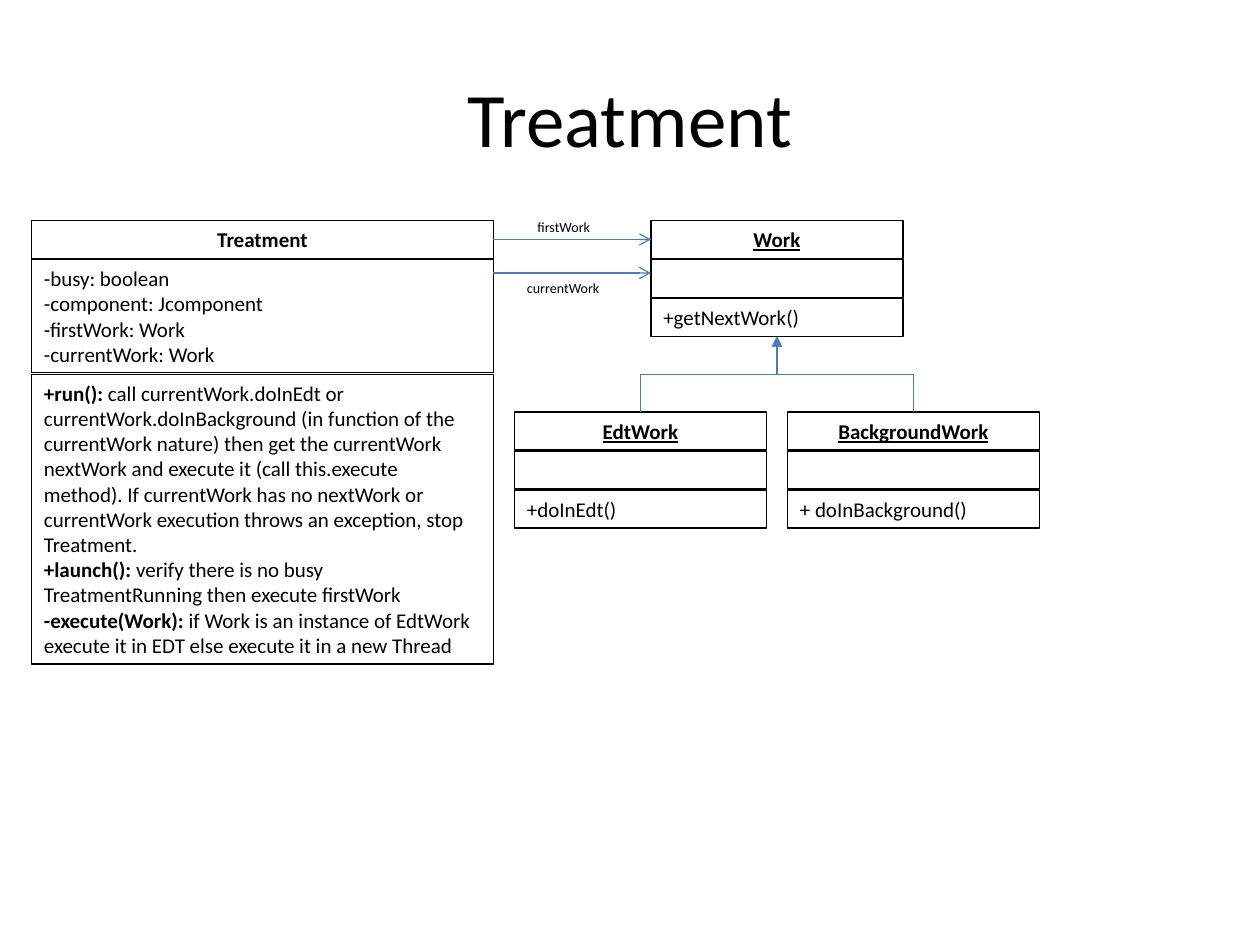
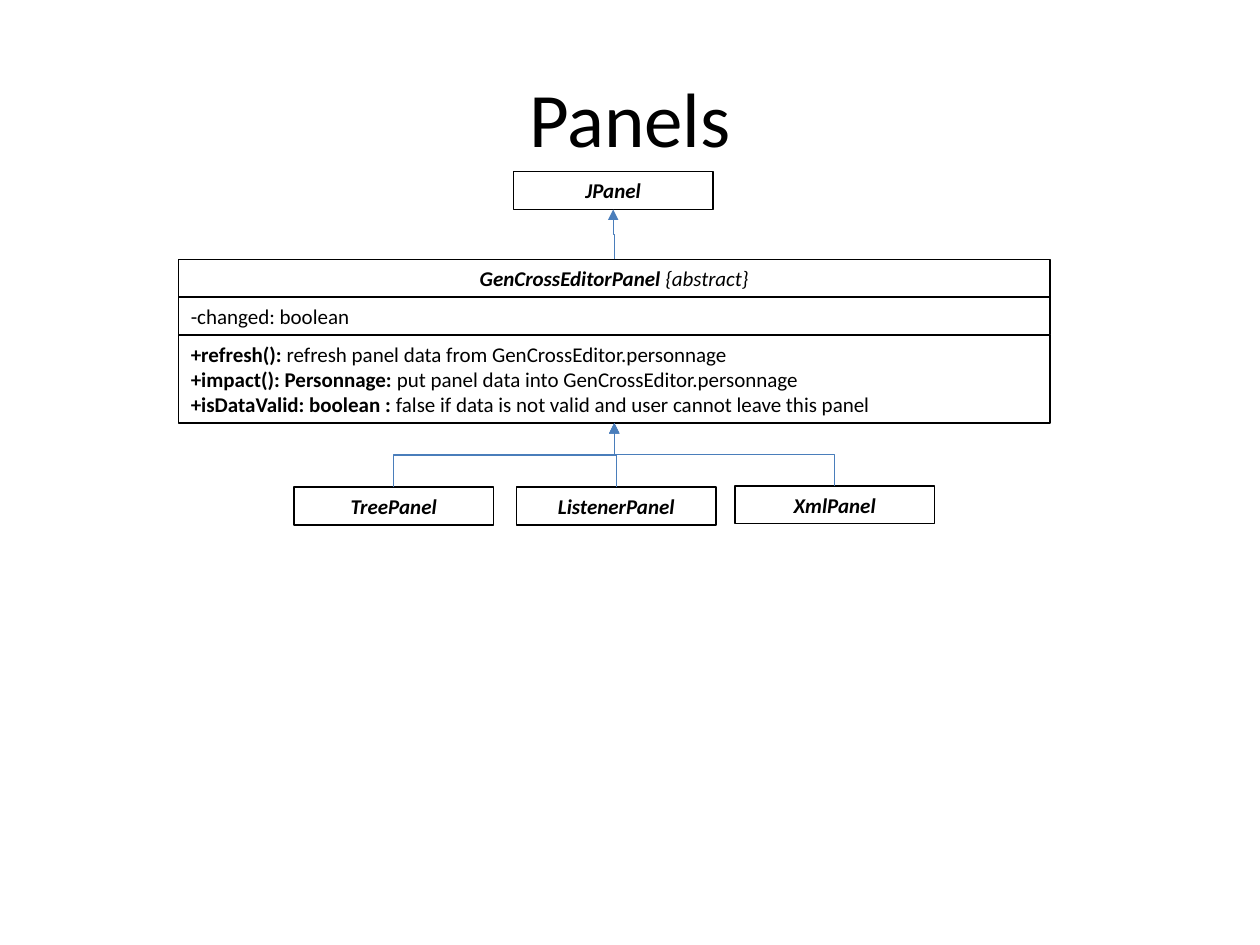
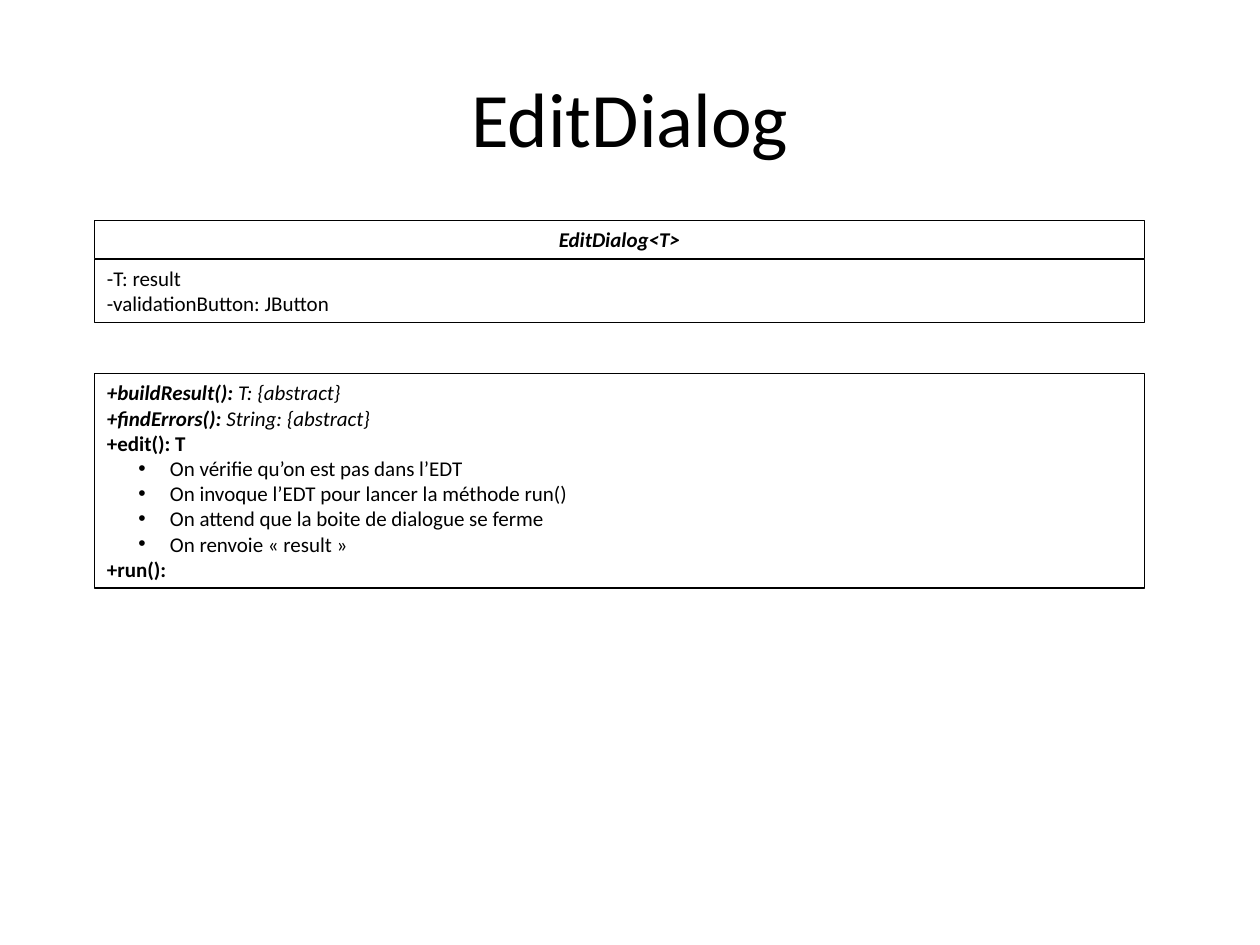
from lxml.etree import SubElement
from pptx import Presentation
from pptx.dml.color import RGBColor
from pptx.enum.shapes import MSO_CONNECTOR, MSO_SHAPE
from pptx.enum.text import MSO_ANCHOR, MSO_AUTO_SIZE, PP_ALIGN
from pptx.oxml.ns import qn
from pptx.util import Inches, Pt

COLORS = {"ink": "000000", "link": "4A7EBB"}
FONT = "Calibri"
CELLS_PER_INCH = 12
PAD, LINE, GAP = 1.2, 2.4, 0.12
TOP, BOTTOM, LEFT, RIGHT = 0, 2, 1, 3


def grid(*cells):
    """Convert grid cells to slide lengths."""
    return [Inches(n / CELLS_PER_INCH) for n in cells]


def rgb(name):
    """Return a named palette colour."""
    return RGBColor.from_string(COLORS[name])


def add_bullet(p):
    """Give a paragraph a hanging round bullet."""
    pPr = p._p.get_or_add_pPr()
    pPr.set("marL", str(Inches(0.5)))
    pPr.set("indent", str(-Inches(0.25)))
    SubElement(pPr, qn("a:buFont"), typeface="Arial")
    SubElement(pPr, qn("a:buChar"), char="•")


def write(tf, paragraphs, size=12, align=PP_ALIGN.LEFT):
    """Write paragraphs of (text, style) runs; styles are b, i, u and • letters."""
    tf.word_wrap = True
    for n, runs in enumerate(paragraphs):
        p = tf.add_paragraph() if n else tf.paragraphs[0]
        p.alignment = align
        if "•" in runs[0][1]:
            add_bullet(p)
        for text, style in runs:
            r = p.add_run()
            r.text = text
            font = r.font
            font.name, font.size = FONT, Pt(size)
            font.color.rgb = rgb("ink")
            font.bold, font.italic, font.underline = (k in style for k in "biu")


def plain(*lines):
    """Make one unstyled paragraph from each line."""
    return [[(line, "")] for line in lines]


def method(name, text, style=""):
    """Make a paragraph with a bold signature and a description."""
    return [(name, style + "b"), (text, style)]


def add_title(s, text):
    """Place the slide title."""
    tf = s.shapes.add_textbox(*grid(6, 3.6, 108, 15)).text_frame
    tf.vertical_anchor = MSO_ANCHOR.MIDDLE
    write(tf, plain(text), 44, PP_ALIGN.CENTER)


def add_label(s, left, top, width, text):
    """Place a small label beside a link."""
    tf = s.shapes.add_textbox(*grid(left, top, width, 2.9)).text_frame
    write(tf, plain(text), 8)


def compartment(s, left, top, width, paragraphs, lines=1, align=PP_ALIGN.LEFT):
    """Draw one outlined compartment sized for its lines of text."""
    height = PAD + LINE * lines
    sp = s.shapes.add_shape(MSO_SHAPE.RECTANGLE, *grid(left, top, width, height))
    sp.shadow.inherit = False
    sp.fill.background()
    sp.line.color.rgb = rgb("ink")
    sp.line.width = Pt(0.75)
    if paragraphs:
        sp.text_frame.vertical_anchor = MSO_ANCHOR.TOP
        sp.text_frame.auto_size = MSO_AUTO_SIZE.SHAPE_TO_FIT_TEXT
        write(sp.text_frame, paragraphs, align=align)
    return sp


def class_box(s, left, top, width, name, *sections, gap=GAP):
    """Stack a name compartment over (lines, paragraphs) sections."""
    boxes = [compartment(s, left, top, width, [name], align=PP_ALIGN.CENTER)]
    lines_above = 1
    for lines, paragraphs in sections:
        top += PAD + LINE * lines_above + gap
        boxes.append(compartment(s, left, top, width, paragraphs, lines))
        lines_above = lines
    return boxes


def style_link(c, head):
    """Style a connector and its arrowhead."""
    c.line.color.rgb = rgb("link")
    c.line.width = Pt(0.75)
    SubElement(c.line._get_or_add_ln(), qn("a:tailEnd"), type=head)
    SubElement(c._element.spPr, qn("a:effectLst"))


def add_association(s, y, left, right):
    """Draw a level open arrow between two columns."""
    c = s.shapes.add_connector(MSO_CONNECTOR.STRAIGHT, *grid(left, y, right, y))
    style_link(c, "arrow")
    return c


def add_inheritance(s, child, parent):
    """Draw an elbow arrow from the child's top up to the parent's bottom."""
    x1, y1 = child.left + child.width // 2, child.top
    x2, y2 = parent.left + parent.width // 2, parent.top + parent.height
    c = s.shapes.add_connector(MSO_CONNECTOR.ELBOW, x1, y1, x2, y2)
    c.begin_connect(child, TOP)
    c.end_connect(parent, BOTTOM)
    run, rise = abs(x2 - x1), y1 - y2
    c.left, c.top = (x1 + x2 - rise) // 2, (y1 + y2 - run) // 2
    c.width, c.height = rise, run
    rightward = x1 < x2
    xfrm = c._element.spPr.xfrm
    xfrm.set("rot", str((90 if rightward else 270) * 60000))
    xfrm.set("flipH", str(int(rightward)))
    xfrm.set("flipV", "1")
    style_link(c, "triangle")


def treatment_slide(s):
    """Build the Treatment class diagram."""
    add_title(s, "Treatment")
    treatment = class_box(
        s, 3, 21, 44, [("Treatment", "b")],
        (4, plain("-busy: boolean", "-component: Jcomponent",
                  "-firstWork: Work", "-currentWork: Work")),
        (11, [
            method("+run(): ", "call currentWork.doInEdt or currentWork.doInBackground "
                   "(in function of the currentWork nature) then get the currentWork "
                   "nextWork and execute it (call this.execute method). If currentWork "
                   "has no nextWork or currentWork execution throws an exception, "
                   "stop Treatment."),
            method("+launch(): ", "verify there is no busy TreatmentRunning "
                   "then execute firstWork"),
            method("-execute(Work): ", "if Work is an instance of EdtWork execute it "
                   "in EDT else execute it in a new Thread"),
        ]))
    work, *_, work_end = [
        box for box in class_box(s, 62, 21, 24, [("Work", "bu")],
                                 (1, []), (1, plain("+getNextWork()")))]
    first = add_association(s, 22.8, 47, 62)
    first.begin_connect(treatment[0], RIGHT)
    first.end_connect(work, LEFT)
    add_association(s, 26, 47, 62)
    add_label(s, 50, 20.2, 8, "firstWork")
    add_label(s, 49, 26, 10, "currentWork")
    for left, name, action in ((49, "EdtWork", "+doInEdt()"),
                               (75, "BackgroundWork", "+ doInBackground()")):
        child = class_box(s, left, 39.25, 24, [(name, "bu")],
                          (1, []), (1, plain(action)))
        add_inheritance(s, child[0], work_end)


def panels_slide(s):
    """Build the panel inheritance diagram."""
    add_title(s, "Panels")
    panel = class_box(
        s, 17, 24.7, 83, [("GenCrossEditorPanel ", "bi"), ("{abstract}", "i")],
        (1, plain("-changed: boolean")),
        (3, [
            method("+refresh(): ", "refresh panel data from GenCrossEditor.personnage"),
            method("+impact(): Personnage: ",
                   "put panel data into GenCrossEditor.personnage"),
            method("+isDataValid: boolean : ",
                   "false if data is not valid and user cannot leave this panel"),
        ]), gap=0)
    base = class_box(s, 48.9, 16.35, 19, [("JPanel", "bi")])
    add_inheritance(s, panel[0], base[0])
    for left, top, name in ((28, 46.4, "TreePanel"), (49.2, 46.4, "ListenerPanel"),
                            (70, 46.3, "XmlPanel")):
        child = class_box(s, left, top, 19, [(name, "bi")])
        add_inheritance(s, child[0], panel[-1])


def dialog_slide(s):
    """Build the EditDialog class description."""
    add_title(s, "EditDialog")
    class_box(s, 9, 21, 100, [("EditDialog<T>", "bi")],
              (2, plain("-T: result", "-validationButton: JButton")))
    steps = ("On vérifie qu’on est pas dans l’EDT",
             "On invoque l’EDT pour lancer la méthode run()",
             "On attend que la boite de dialogue se ferme",
             "On renvoie « result »")
    compartment(s, 9, 35.6, 100, [
        method("+buildResult():", " T: {abstract}", "i"),
        method("+findErrors():", " String: {abstract}", "i"),
        [("+edit(): T", "b")],
        *[[(step, "•")] for step in steps],
        [("+run():", "b")],
    ], lines=8)


def main():
    """Build and save the deck."""
    prs = Presentation()
    prs.slide_width, prs.slide_height = grid(120, 90)
    for build in (treatment_slide, panels_slide, dialog_slide):
        build(prs.slides.add_slide(prs.slide_layouts[6]))
    prs.save("out.pptx")


if __name__ == "__main__":
    main()
